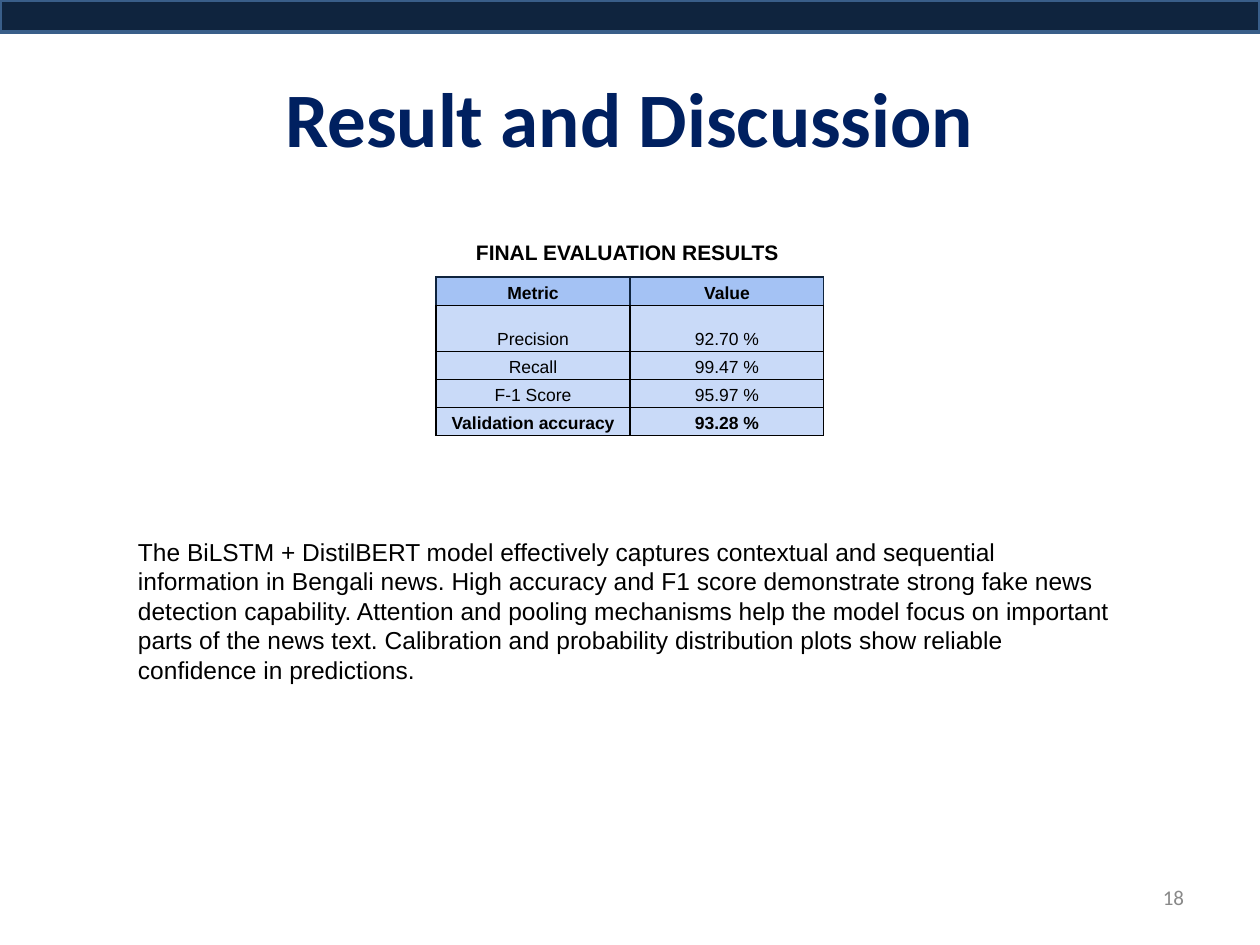
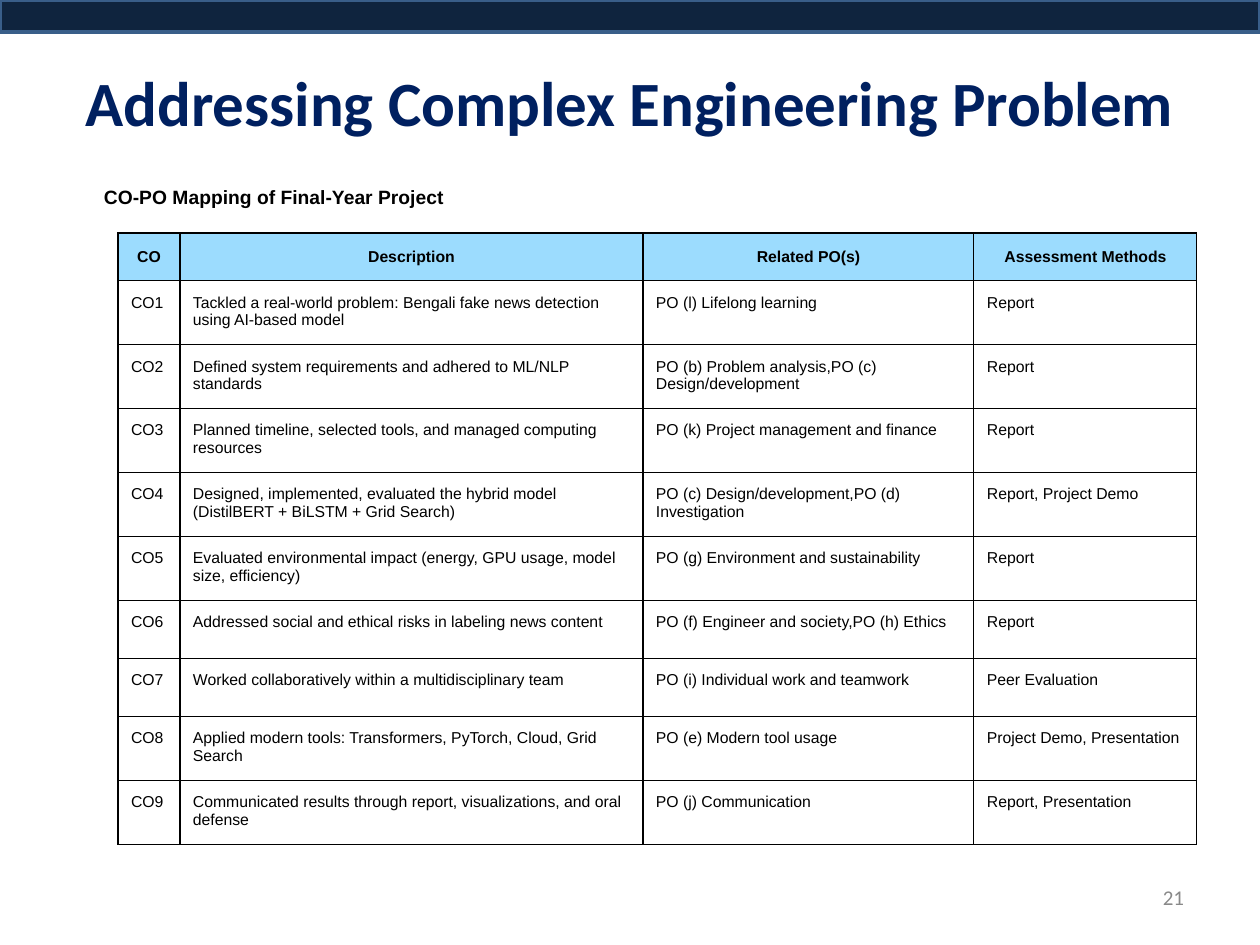
import lxml.etree
import pptx
import pptx.dml.color
import pptx.enum.shapes
import pptx.enum.text
import pptx.oxml.ns
import pptx.util

RGBColor = pptx.dml.color.RGBColor
ALIGN = pptx.enum.text.PP_ALIGN
ANCHOR = pptx.enum.text.MSO_ANCHOR

BAND_FILL = RGBColor(0x0F, 0x24, 0x3E)
BAND_LINE = RGBColor(0x39, 0x5E, 0x89)
TITLE_COLOR = RGBColor(0x00, 0x20, 0x60)
NUMBER_COLOR = RGBColor(0x89, 0x89, 0x89)
BLACK = RGBColor(0x00, 0x00, 0x00)
METRIC_HEADER = RGBColor(0xA4, 0xC2, 0xF4)
METRIC_BODY = RGBColor(0xC9, 0xDA, 0xF8)
MAPPING_HEADER = RGBColor(0x9C, 0xDC, 0xFE)

HEADING_FONT = "Calibri"
BODY_FONT = "Arial"
PIXELS_PER_INCH = 126
SLIDE_BOX = (0, 0, 1260, 945)
BORDER_POINTS = 0.75

METRICS = [
    ("Metric", "Value"),
    ("Precision", "92.70 %"),
    ("Recall", "99.47 %"),
    ("F-1 Score", "95.97 %"),
    ("Validation accuracy", "93.28 %"),
]
DISCUSSION = (
    "The BiLSTM + DistilBERT model effectively captures contextual and sequential "
    "information in Bengali news. High accuracy and F1 score demonstrate strong fake news "
    "detection capability. Attention and pooling mechanisms help the model focus on important "
    "parts of the news text. Calibration and probability distribution plots show reliable "
    "confidence in predictions."
)
MAPPING_HEADINGS = ("CO", "Description", "Related PO(s)", "Assessment Methods")
OUTCOMES = [
    ("Tackled a real-world problem: Bengali fake news detection using AI-based model",
     "PO (l) Lifelong learning", "Report"),
    ("Defined system requirements and adhered to ML/NLP standards",
     "PO (b) Problem analysis,PO (c) Design/development", "Report"),
    ("Planned timeline, selected tools, and managed computing resources",
     "PO (k) Project management and finance", "Report"),
    ("Designed, implemented, evaluated the hybrid model (DistilBERT + BiLSTM + Grid Search)",
     "PO (c) Design/development,PO (d) Investigation", "Report, Project Demo"),
    ("Evaluated environmental impact (energy, GPU usage, model size, efficiency)",
     "PO (g) Environment and sustainability", "Report"),
    ("Addressed social and ethical risks in labeling news content",
     "PO (f) Engineer and society,PO (h) Ethics", "Report"),
    ("Worked collaboratively within a multidisciplinary team",
     "PO (i) Individual work and teamwork", "Peer Evaluation"),
    ("Applied modern tools: Transformers, PyTorch, Cloud, Grid Search",
     "PO (e) Modern tool usage", "Project Demo, Presentation"),
    ("Communicated results through report, visualizations, and oral defense",
     "PO (j) Communication", "Report, Presentation"),
]


def px(length):
    return pptx.util.Emu(round(length * 914400 / PIXELS_PER_INCH))


def write_text(frame, text, *, size, font=BODY_FONT, color=BLACK, bold=False,
               align=ALIGN.LEFT, line_spacing=None):
    paragraph = frame.paragraphs[0]
    paragraph.alignment = align
    if line_spacing:
        paragraph.line_spacing = line_spacing
    run = paragraph.add_run()
    run.text = text
    run.font.name = font
    run.font.size = pptx.util.Pt(size)
    run.font.bold = bold
    run.font.color.rgb = color


def set_margins(target, horizontal, vertical):
    target.margin_left = target.margin_right = px(horizontal)
    target.margin_top = target.margin_bottom = px(vertical)


def add_text(slide, box, text, *, anchor=ANCHOR.TOP, vertical_margin=13, **text_format):
    frame = slide.shapes.add_textbox(*map(px, box)).text_frame
    frame.word_wrap = True
    frame.vertical_anchor = anchor
    set_margins(frame, 13, vertical_margin)
    write_text(frame, text, **text_format)


def set_borders(cell, color):
    properties = cell._tc.get_or_add_tcPr()
    qualified = pptx.oxml.ns.qn
    for side in ("a:lnL", "a:lnR", "a:lnT", "a:lnB"):
        line = lxml.etree.SubElement(properties, qualified(side),
                                     w=str(pptx.util.Pt(BORDER_POINTS)))
        fill = lxml.etree.SubElement(line, qualified("a:solidFill"))
        lxml.etree.SubElement(fill, qualified("a:srgbClr"), val=str(color))


def add_table(slide, left, top, columns, heights, rows, style_cell):
    """Build a bordered table; style_cell(cell, text, row, column) formats each cell."""
    frame = slide.shapes.add_table(len(rows), len(columns), px(left), px(top),
                                   px(sum(columns)), px(sum(heights)))
    table = frame.table
    table.first_row = table.horz_banding = False
    for column, width in zip(table.columns, columns):
        column.width = px(width)
    for table_row, height in zip(table.rows, heights):
        table_row.height = px(height)
    for row, texts in enumerate(rows):
        for column, text in enumerate(texts):
            style_cell(table.cell(row, column), text, row, column)


def style_metric_cell(cell, text, row, column):
    is_header = row == 0
    set_borders(cell, BAND_FILL if is_header else BLACK)
    cell.fill.solid()
    cell.fill.fore_color.rgb = METRIC_HEADER if is_header else METRIC_BODY
    cell.vertical_anchor = ANCHOR.BOTTOM
    set_margins(cell, 4, 2)
    write_text(cell.text_frame, text, size=10, bold=row in (0, len(METRICS) - 1),
               align=ALIGN.CENTER, line_spacing=1.15)


def style_mapping_cell(cell, text, row, column):
    set_borders(cell, BLACK)
    set_margins(cell, 13, 13)
    if row == 0:
        cell.fill.solid()
        cell.fill.fore_color.rgb = MAPPING_HEADER
        write_text(cell.text_frame, text, size=9, bold=True,
                   align=ALIGN.CENTER, line_spacing=1.15)
    else:
        cell.fill.background()
        write_text(cell.text_frame, text, size=9)


def add_frame(slide, box, title, title_size, title_height, number):
    """Add the top band, the title and the page number."""
    left, top, width, height = box
    band = slide.shapes.add_shape(pptx.enum.shapes.MSO_SHAPE.RECTANGLE,
                                  px(left), px(top), px(width), px(32))
    band.shadow.inherit = False
    band.fill.solid()
    band.fill.fore_color.rgb = BAND_FILL
    band.line.color.rgb = BAND_LINE
    band.line.width = pptx.util.Pt(2)
    add_text(slide, (left + 63, top + 38, width - 126, title_height), title,
             anchor=ANCHOR.MIDDLE, vertical_margin=6, size=title_size,
             font=HEADING_FONT, color=TITLE_COLOR, bold=True, align=ALIGN.CENTER)
    add_text(slide, (left + width - 357, top + height - 73, 294, 50), str(number),
             anchor=ANCHOR.MIDDLE, vertical_margin=6, size=12,
             font=HEADING_FONT, color=NUMBER_COLOR, align=ALIGN.RIGHT)


def add_result_slide(slide, box):
    left, top = box[:2]
    add_frame(slide, box, "Result and Discussion", 44, 158, 18)
    add_table(slide, left + 436, top + 277, [194, 194], [27, 46, 28, 28, 28],
              METRICS, style_metric_cell)
    add_text(slide, (left + 125, top + 524, 1010, 234), DISCUSSION, size=14)
    add_text(slide, (left + 463, top + 227, 334, 50), "FINAL EVALUATION RESULTS",
             size=12, bold=True)


def add_mapping_slide(slide, box):
    left, top = box[:2]
    add_frame(slide, box, "Addressing Complex Engineering Problem", 36, 126, 21)
    rows = [MAPPING_HEADINGS]
    rows += [(f"CO{number}", *outcome) for number, outcome in enumerate(OUTCOMES, 1)]
    add_table(slide, left + 118, top + 233, [62, 463, 331, 223],
              [46] + [58] * len(OUTCOMES), rows, style_mapping_cell)
    add_text(slide, (left + 91, top + 164, 1134, 62), "CO-PO Mapping of Final-Year Project",
             anchor=ANCHOR.MIDDLE, size=11, bold=True, line_spacing=1.15)


def main():
    presentation = pptx.Presentation()
    presentation.slide_width, presentation.slide_height = map(px, SLIDE_BOX[2:])
    blank_layout = presentation.slide_layouts[6]
    for build in (add_result_slide, add_mapping_slide):
        build(presentation.slides.add_slide(blank_layout), SLIDE_BOX)
    presentation.save("out.pptx")


if __name__ == "__main__":
    main()
